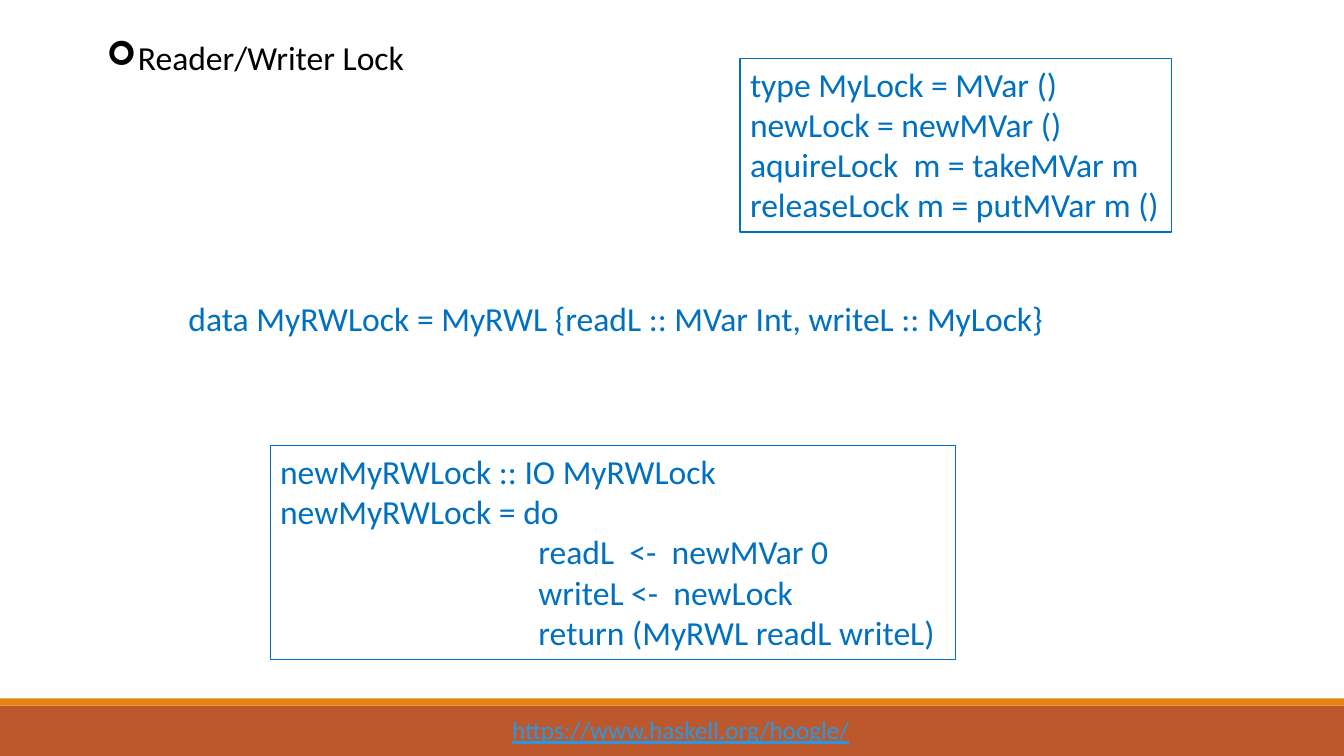
from lxml import etree
from pptx import Presentation
from pptx.dml.color import RGBColor
from pptx.enum import shapes, text
from pptx.oxml import ns
from pptx.util import Inches, Pt

COLORS = {
    "rust": "BD582C",
    "orange": "E48312",
    "link": "2998E3",
    "black": "000000",
    "code": "0070C0",
    "white": "FFFFFF",
}


def color(name):
    return RGBColor.from_string(COLORS[name])


def add_text(content, at, size=24, ink="code", wrap=True, underline=None,
             bullet=None, fill=None, border=None):
    sp = s.shapes.add_textbox(*(Inches(v) for v in at))
    if fill:
        sp.fill.solid()
        sp.fill.fore_color.rgb = color(fill)
    if border:
        sp.line.color.rgb = color("code")
        sp.line.width = Pt(border)
    tf = sp.text_frame
    tf.word_wrap = wrap
    tf.auto_size = text.MSO_AUTO_SIZE.SHAPE_TO_FIT_TEXT
    for i, line in enumerate(content.split("\n")):
        p = tf.paragraphs[0] if i == 0 else tf.add_paragraph()
        if bullet:
            pPr = p._p.get_or_add_pPr()
            pPr.set("marL", str(Inches(0.31)))
            pPr.set("indent", str(-Inches(0.31)))
            etree.SubElement(pPr, ns.qn("a:buFont")).set("typeface", "Wingdings")
            etree.SubElement(pPr, ns.qn("a:buChar")).set("char", bullet)
        r = p.add_run()
        r.text = line
        r.font.name = "Calibri"
        r.font.size = Pt(size)
        r.font.underline = underline
        r.font.color.rgb = color(ink)


prs = Presentation()
prs.slide_width, prs.slide_height = Inches(13.33), Inches(7.5)
s = prs.slides.add_slide(prs.slide_layouts[6])

# Footer bands and address
for top, height, band in [(7, 0.5, "rust"), (6.93, 0.07, "orange")]:
    sp = s.shapes.add_shape(shapes.MSO_SHAPE.RECTANGLE, 0, Inches(top),
                            prs.slide_width, Inches(height))
    sp.shadow.inherit = False
    sp.fill.solid()
    sp.fill.fore_color.rgb = color(band)
    sp.line.fill.background()
add_text("https://www.haskell.org/hoogle/", (4.98, 7.04, 3.59, 0.4),
         size=18, ink="link", wrap=False, underline=True)

# Heading
add_text("Reader/Writer Lock", (0.96, 0.32, 3.18, 0.5),
         ink="black", wrap=False, bullet="➢")

# Simple lock
add_text("""type MyLock = MVar ()
newLock = newMVar ()
aquireLock  m = takeMVar m
releaseLock m = putMVar m ()""",
         (7.34, 0.58, 4.28, 1.72), fill="white", border=1.25)

# Constructor of the reader/writer lock
add_text("""newMyRWLock :: IO MyRWLock
newMyRWLock = do
                                  readL  <-  newMVar 0
                                  writeL <-  newLock
                                  return (MyRWL readL writeL)""",
         (2.68, 4.42, 6.8, 2.12), wrap=False, border=0.75)

# Type of the reader/writer lock
add_text("data MyRWLock = MyRWL {readL :: MVar Int, writeL :: MyLock}",
         (1.77, 2.91, 9.25, 0.5))

prs.save("out.pptx")
